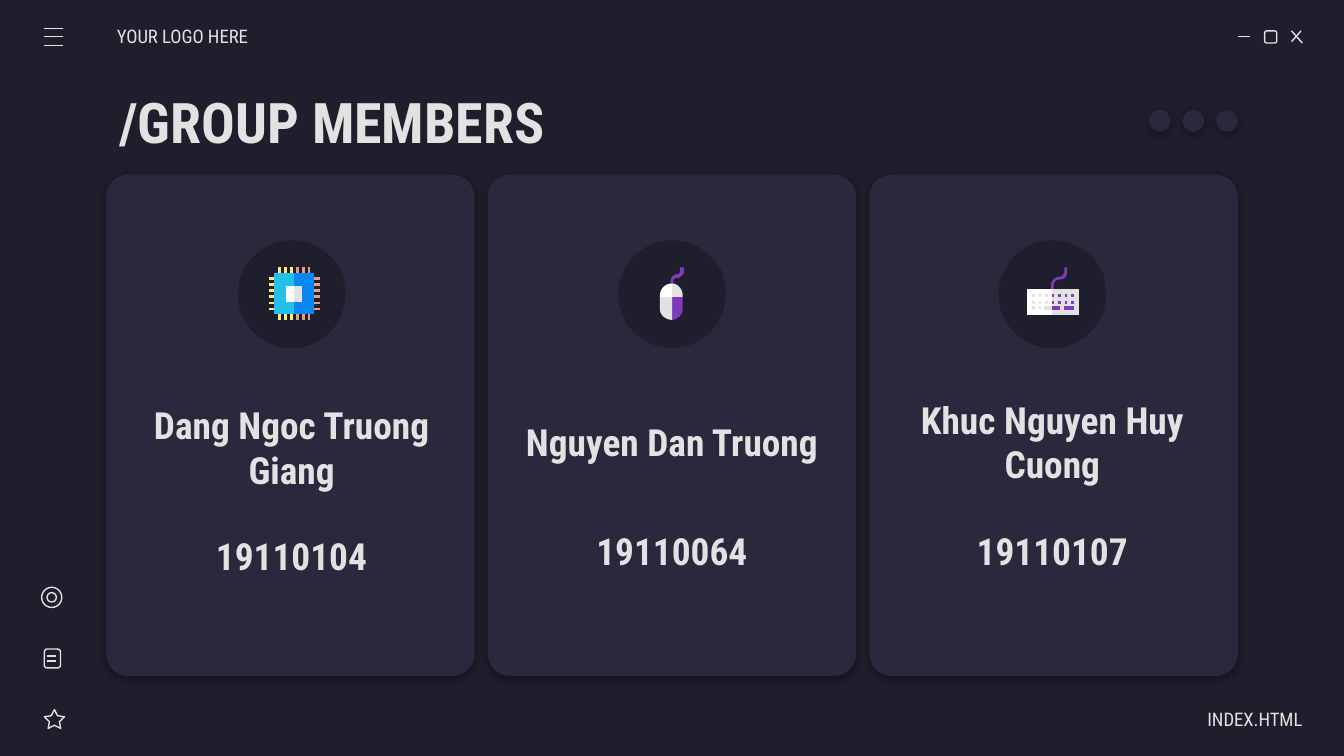
import pptx
import pptx.dml.color
import pptx.enum.shapes
import pptx.enum.text
import pptx.util
from lxml import etree
from pptx.util import Inches

COLORS = {
    "background": "1E1E2C", "panel": "29283D", "light": "E2E2E2",
    "white": "FFFFFF", "yellow": "FFEA7D", "copper": "E5A083",
    "blue": "0887F2", "cyan": "24BFEB", "purple": "7E3BBE",
}
FONT = "Roboto Condensed"
MEMBERS = [
    ("Dang Ngoc Truong Giang", "19110104", 3.07),
    ("Nguyen Dan Truong", "19110064", 3.03),
    ("Khuc Nguyen Huy Cuong", "19110107", 3.03),
]
CARD_LEFT, CARD_STEP = 0.79, 2.84
BADGE_LEFT, TEXT_LEFT, CONTENT_STEP = 1.77, 0.98, 2.83
A = "http://schemas.openxmlformats.org/drawingml/2006/main"
SHAPE = pptx.enum.shapes.MSO_SHAPE
ALIGN = pptx.enum.text.PP_ALIGN


def rgb(name):
    return pptx.dml.color.RGBColor.from_string(COLORS[name])


def spread(first, last, count):
    """Return evenly spaced positions from first to last."""
    return [first + (last - first) * i / (count - 1) for i in range(count)]


def paint(shape, fill=None, line=None):
    shape.shadow.inherit = False
    if fill:
        shape.fill.solid()
        shape.fill.fore_color.rgb = rgb(fill)
    else:
        shape.fill.background()
    if line:
        shape.line.color.rgb = rgb(line)
        shape.line.width = pptx.util.Pt(0.75)
    else:
        shape.line.fill.background()


def add_figure(parent, kind, left, top, width, height, fill=None, line=None, adjust=()):
    figure = parent.shapes.add_shape(
        kind, Inches(left), Inches(top), Inches(width), Inches(height))
    for i, value in enumerate(adjust):
        figure.adjustments[i] = value
    paint(figure, fill, line)
    return figure


def add_block(parent, left, top, width, height, fill):
    """Draw a plain rectangle as an outline."""
    right, bottom = left + width, top + height
    add_outline(parent, (left, top), [(left, bottom), (right, bottom), (right, top)], fill)


def add_soft_shadow(shape):
    effects = shape._element.spPr.find(f"{{{A}}}effectLst")
    shadow = etree.SubElement(effects, f"{{{A}}}outerShdw", blurRad="57150",
                              dist="19050", dir="5400000", algn="bl", rotWithShape="0")
    color = etree.SubElement(shadow, f"{{{A}}}srgbClr", val="000000")
    etree.SubElement(color, f"{{{A}}}alpha", val="30000")


def add_stroke(parent, x1, y1, x2, y2):
    stroke = parent.shapes.add_connector(
        pptx.enum.shapes.MSO_CONNECTOR.STRAIGHT,
        Inches(x1), Inches(y1), Inches(x2), Inches(y2))
    stroke.line.color.rgb = rgb("light")
    stroke.line.width = pptx.util.Pt(0.75)
    etree.SubElement(stroke._element.spPr, f"{{{A}}}effectLst")


def add_outline(parent, start, steps, fill):
    """Draw a closed outline; a step of 2 numbers is a line, of 6 a Bezier curve."""
    points = [start]
    for step in steps:
        if len(step) == 2:
            points.append(step)
            continue
        corners = [points[-1], step[:2], step[2:4], step[4:]]
        for t in spread(0.1, 1, 10):
            weights = ((1 - t) ** 3, 3 * t * (1 - t) ** 2, 3 * t * t * (1 - t), t ** 3)
            points.append(tuple(
                sum(w * c[axis] for w, c in zip(weights, corners)) for axis in (0, 1)))
    points = [(Inches(x), Inches(y)) for x, y in points]
    builder = parent.shapes.build_freeform(*points[0])
    builder.add_line_segments(points[1:], close=True)
    paint(builder.convert_to_shape(), fill)


def add_text(slide, text, left, top, width, height, size=20, bold=True,
             align=ALIGN.CENTER, inset_left=0.1, inset_right=0.1):
    box = slide.shapes.add_textbox(
        Inches(left), Inches(top), Inches(width), Inches(height))
    frame = box.text_frame
    frame.word_wrap = True
    frame.vertical_anchor = pptx.enum.text.MSO_ANCHOR.MIDDLE
    frame.margin_left, frame.margin_right = Inches(inset_left), Inches(inset_right)
    frame.margin_top = frame.margin_bottom = Inches(0.1)
    paragraph = frame.paragraphs[0]
    paragraph.alignment = align
    run = paragraph.add_run()
    run.text = text
    run.font.name = FONT
    run.font.size = pptx.util.Pt(size)
    run.font.bold = bold
    run.font.color.rgb = rgb("light")


def add_window_buttons(slide):
    buttons = slide.shapes.add_group_shape()
    add_stroke(buttons, 9.21, 0.27, 9.3, 0.27)
    add_figure(buttons, SHAPE.ROUNDED_RECTANGLE, 9.41, 0.23, 0.09, 0.09, line="light")
    add_stroke(buttons, 9.61, 0.23, 9.69, 0.32)
    add_stroke(buttons, 9.68, 0.23, 9.61, 0.31)


def add_badge(slide, left):
    badge = slide.shapes.add_group_shape()
    add_figure(badge, SHAPE.OVAL, left, 1.79, 0.8, 0.8, "background")
    wedge = add_figure(badge, SHAPE.PIE, left, 1.79, 0.81, 0.81, "background",
                       adjust=(32.63, 97.2))
    wedge.rotation = 180


def add_menu_icon(slide):
    menu = slide.shapes.add_group_shape()
    for y in (0.21, 0.34, 0.27):
        add_stroke(menu, 0.33, y, 0.47, y)


def add_side_icons(slide):
    icons = slide.shapes.add_group_shape()
    add_figure(icons, SHAPE.STAR_5_POINT, 0.33, 5.28, 0.15, 0.14, line="light",
               adjust=(0.25, 1.05, 1.11))
    add_figure(icons, SHAPE.ROUNDED_RECTANGLE, 0.33, 4.83, 0.12, 0.14, line="light")
    for y in (4.88, 4.92):
        add_stroke(icons, 0.35, y, 0.42, y)
    add_figure(icons, SHAPE.OVAL, 0.31, 4.37, 0.15, 0.15, line="light")
    add_figure(icons, SHAPE.OVAL, 0.35, 4.41, 0.07, 0.07, line="light")


def add_dots(slide):
    dots = slide.shapes.add_group_shape()
    for left in (9.05, 8.8, 8.55):
        add_soft_shadow(add_figure(dots, SHAPE.OVAL, left, 0.82, 0.16, 0.16, "panel"))


def add_chip(slide):
    chip = slide.shapes.add_group_shape()
    for top in (1.99, 2.32):
        for i, x in enumerate(spread(2.07, 2.29, 6)):
            add_block(chip, x, top, 0.02, 0.06, "yellow" if i < 3 else "copper")
    for left, color in ((2.33, "copper"), (2, "yellow")):
        for y in spread(2.06, 2.29, 6):
            add_block(chip, left, y, 0.05, 0.02, color)
    add_block(chip, 2.18, 2.03, 0.16, 0.31, "blue")
    add_block(chip, 2.04, 2.03, 0.15, 0.31, "cyan")
    add_block(chip, 2.18, 2.13, 0.07, 0.12, "light")
    add_block(chip, 2.13, 2.13, 0.06, 0.12, "white")


def add_mouse(slide):
    mouse = slide.shapes.add_group_shape()
    add_outline(mouse, (5.06, 1.99), [
        (5.06, 2.02), (5.06, 2.03, 5.05, 2.04, 5.04, 2.04),
        (5.01, 2.04, 4.99, 2.07, 4.99, 2.09), (4.99, 2.15), (5.01, 2.15),
        (5.01, 2.09), (5.01, 2.08, 5.02, 2.07, 5.04, 2.07),
        (5.06, 2.07, 5.09, 2.04, 5.09, 2.02), (5.09, 1.99)], "purple")
    for side, lower, upper in ((5.08, "purple", "light"), (4.91, "light", "white")):
        bend = 5.04 if side > 5 else 4.95
        add_outline(mouse, (5, 2.2), [
            (5, 2.38), (bend, 2.38, side, 2.34, side, 2.3), (side, 2.21)], lower)
        add_outline(mouse, (5, 2.21), [
            (5, 2.11), (bend, 2.11, side, 2.15, side, 2.2), (side, 2.21)], upper)


def add_keyboard(slide):
    keyboard = slide.shapes.add_group_shape()
    add_outline(keyboard, (7.92, 1.99), [
        (7.92, 2.02), (7.92, 2.04, 7.9, 2.06, 7.88, 2.06),
        (7.85, 2.06, 7.82, 2.09, 7.82, 2.12), (7.82, 2.17), (7.84, 2.17),
        (7.84, 2.12), (7.84, 2.1, 7.86, 2.08, 7.88, 2.08),
        (7.92, 2.08, 7.94, 2.06, 7.94, 2.02), (7.94, 1.99)], "purple")
    add_block(keyboard, 7.82, 2.15, 0.21, 0.19, "light")
    add_block(keyboard, 7.64, 2.15, 0.19, 0.19, "white")
    columns = spread(7.68, 7.97, 7)
    for top, count in ((2.19, 7), (2.24, 7), (2.28, 2)):
        for i, x in enumerate(columns[:count]):
            add_block(keyboard, x, top, 0.02, 0.02, "light" if i < 3 else "purple")
    for left, width, color in ((7.92, 0.07, "purple"), (7.83, 0.06, "purple"),
                               (7.77, 0.06, "light")):
        add_block(keyboard, left, 2.28, width, 0.03, color)


def main():
    deck = pptx.Presentation()
    deck.slide_width = Inches(10)
    deck.slide_height = Inches(10) * 9 // 16
    slide = deck.slides.add_slide(deck.slide_layouts[6])
    slide.background.fill.solid()
    slide.background.fill.fore_color.rgb = rgb("background")

    for i in range(len(MEMBERS)):
        add_soft_shadow(add_figure(
            slide, SHAPE.ROUNDED_RECTANGLE, CARD_LEFT + i * CARD_STEP, 1.3, 2.74, 3.73,
            "panel", adjust=(0.06,)))
    add_window_buttons(slide)
    for i in range(len(MEMBERS)):
        add_badge(slide, BADGE_LEFT + i * CONTENT_STEP)
    add_text(slide, "YOUR LOGO HERE", 0.87, 0.12, 1.17, 0.3, size=10, bold=False,
             align=ALIGN.LEFT, inset_left=0)
    add_menu_icon(slide)
    add_side_icons(slide)
    add_text(slide, "INDEX.HTML", 8.52, 5.2, 1.17, 0.3, size=10, bold=False,
             align=ALIGN.RIGHT, inset_right=0)
    add_text(slide, "/GROUP MEMBERS", 0.79, 0.59, 4.97, 0.63, size=30, align=ALIGN.LEFT)
    for i, (name, number, top) in enumerate(MEMBERS):
        left = TEXT_LEFT + i * CONTENT_STEP
        add_text(slide, name, left, top, 2.38, 0.51)
        add_text(slide, number, left, top + 0.52, 2.38, 1.09)
    add_dots(slide)
    add_chip(slide)
    add_keyboard(slide)
    add_mouse(slide)
    deck.save("out.pptx")


if __name__ == "__main__":
    main()
